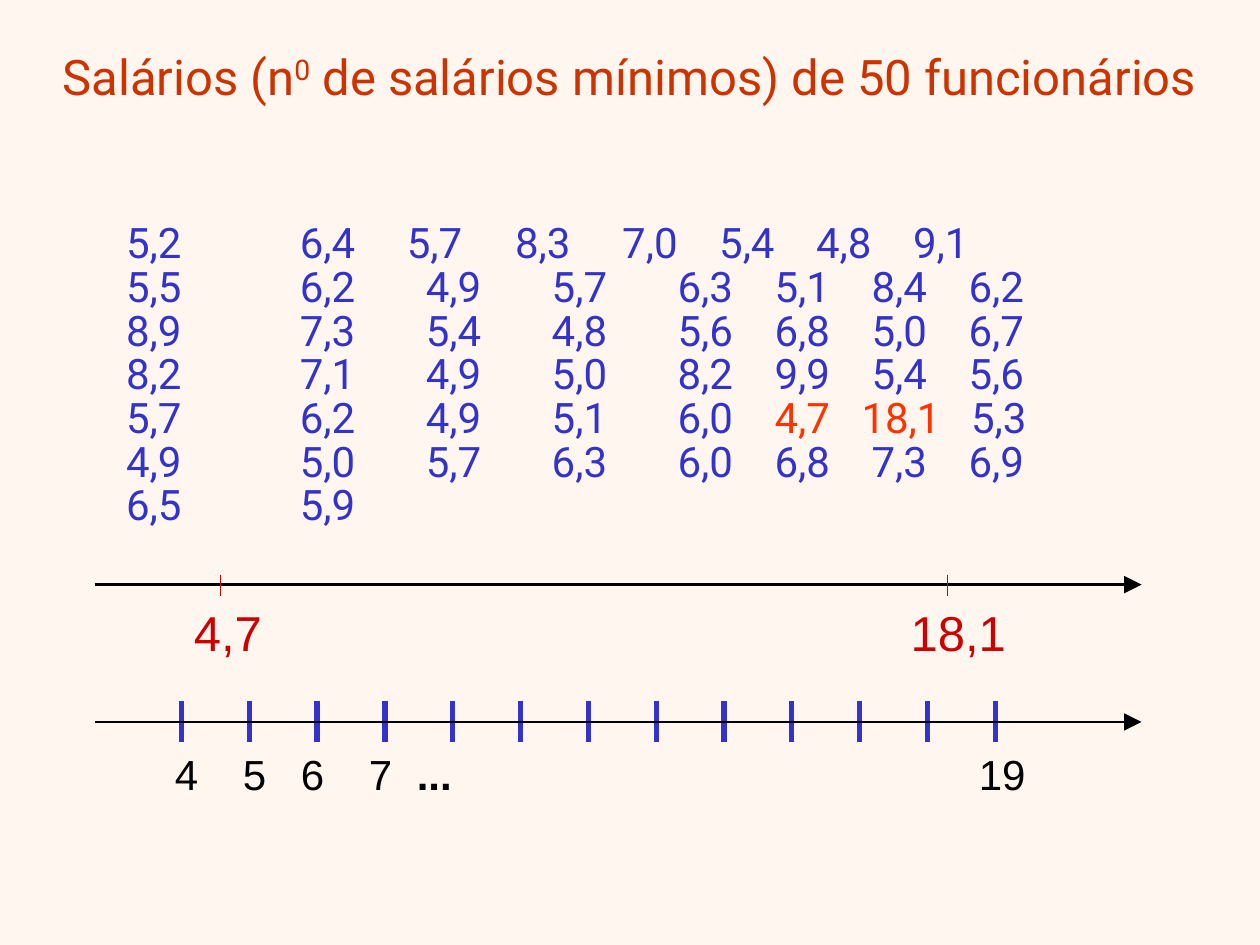
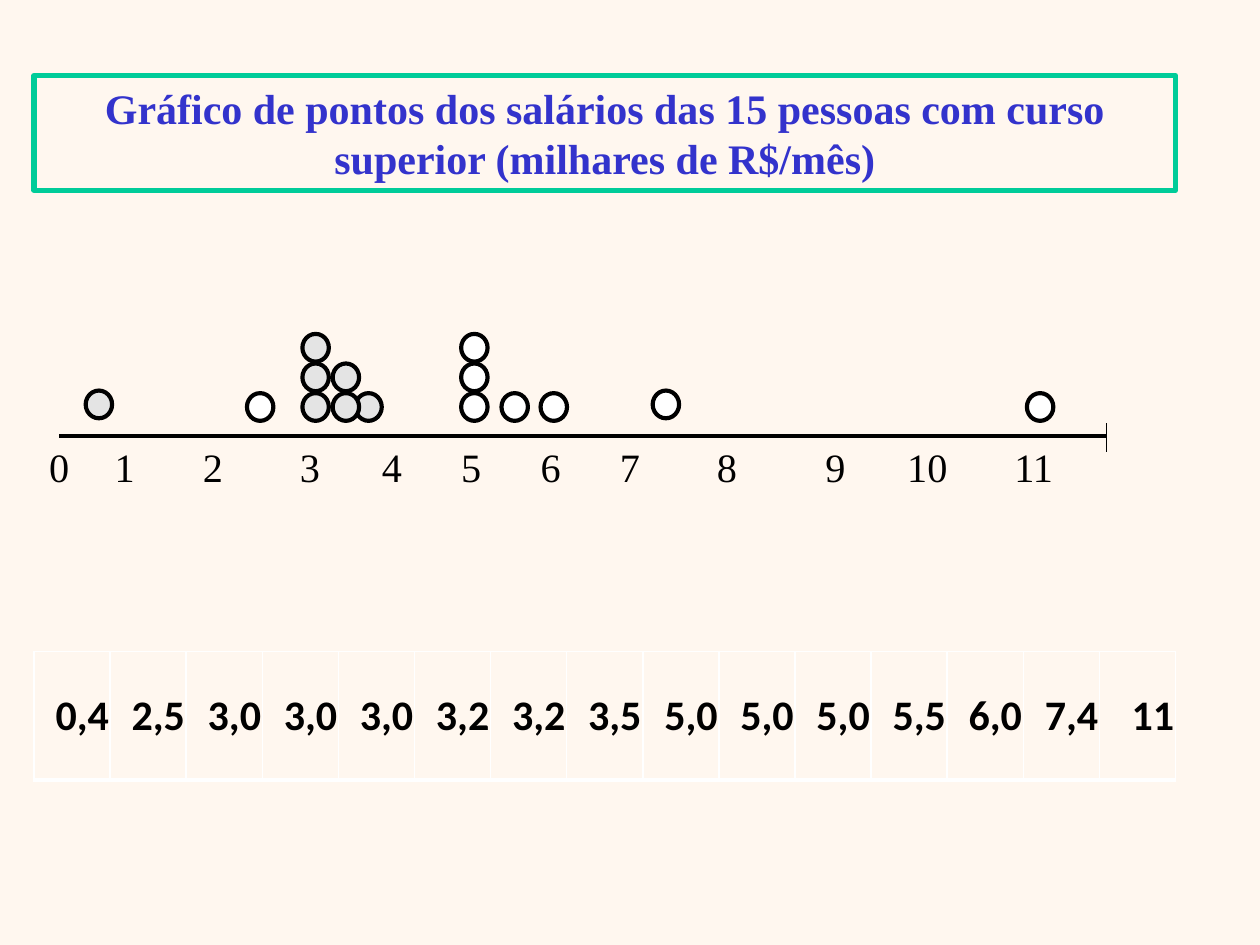
from lxml.etree import SubElement
from pptx import Presentation
from pptx.dml.color import RGBColor
from pptx.enum.shapes import MSO_CONNECTOR, MSO_SHAPE
from pptx.enum.text import MSO_ANCHOR, MSO_AUTO_SIZE, PP_ALIGN
from pptx.oxml.ns import qn
from pptx.util import Inches, Pt

COLORS = {
    "background": "FFF7EF", "title": "CC3300", "blue": "3333CC", "extreme": "FF3300",
    "red": "CC0000", "black": "000000", "white": "FFFFFF", "gray": "E4E4E4", "frame": "00CC99",
}

SALARY_TITLE = [("Salários (n", {}), ("0", {"baseline": 30}),
                (" de salários mínimos) de 50 funcionários", {})]
SALARIES = [
    ["5,2", "6,4", "5,7", "8,3", "7,0", "5,4", "4,8", "9,1"],
    ["5,5", "6,2", "4,9", "5,7", "6,3", "5,1", "8,4", "6,2"],
    ["8,9", "7,3", "5,4", "4,8", "5,6", "6,8", "5,0", "6,7"],
    ["8,2", "7,1", "4,9", "5,0", "8,2", "9,9", "5,4", "5,6"],
    ["5,7", "6,2", "4,9", "5,1", "6,0", "4,7", "18,1", "5,3"],
    ["4,9", "5,0", "5,7", "6,3", "6,0", "6,8", "7,3", "6,9"],
    ["6,5", "5,9"],
]
EXTREMES = ("4,7", "18,1")
SALARY_LEFTS = [0, 1.38, 2.38, 3.38, 4.38, 5.15, 5.92, 6.69]
SPECIAL_LEFTS = {0: [0, 1.38, 2.23, 3.09, 3.94, 4.71, 5.48, 6.25],
                 4: [0, 1.38, 2.38, 3.38, 4.38, 5.15, 5.84, 6.71]}
SALARY_SIZE = 24
GLYPH_EMS = {",": 0.2, " ": 0.25}
DIGIT_EM = 0.56
RANGE_LABELS = [("4,7", 1.44, 0.74), ("18,1", 7.13, 0.96)]
RANGE_TICKS = [1.75, 7.52]
CLASS_LABELS = [("4", 1.29, 0.39), ("5", 1.83, 0.39), ("6", 2.29, 0.39),
                ("7", 2.83, 0.39), ("...", 3.21, 0.48), ("19", 7.67, 0.57)]
CLASS_TICKS, FIRST_TICK, LAST_TICK = 13, 1.44, 7.9

DOT_TITLE = "Gráfico de pontos dos salários das 15 pessoas com curso superior (milhares de R$/mês)"
DOT_STACKS = [(2.82, 3.12, 1, "gray"), (1.96, 3.12, 1, "white"), (2.4, 3.12, 3, "gray"),
              (2.64, 3.12, 2, "gray"), (3.66, 3.12, 3, "white"), (3.98, 3.12, 1, "white"),
              (4.29, 3.12, 1, "white"), (5.18, 3.1, 1, "white"), (8.15, 3.12, 1, "white"),
              (0.68, 3.1, 1, "gray")]
DOT_STEP = 0.235
AXIS_LABEL_LEFTS = [0.39, 0.91, 1.61, 2.38, 3.03, 3.66, 4.29, 4.92, 5.69, 6.55, 7.2, 8.05]
DEGREE_SALARIES = ["0,4", "2,5", "3,0", "3,0", "3,0", "3,2", "3,2", "3,5",
                   "5,0", "5,0", "5,0", "5,5", "6,0", "7,4", "11"]


def rgb(name):
    return RGBColor.from_string(COLORS[name])


def add_text(p, text, size=24, font="Arial", color="black", bold=False, baseline=0, spacing=0):
    r = p.add_run()
    r.text = text
    r.font.size, r.font.name, r.font.bold = Pt(size), font, bold
    r.font.color.rgb = rgb(color)
    if baseline:
        r.font._element.set("baseline", str(baseline * 1000))
    if spacing:
        r.font._element.set("spc", str(round(spacing * 100)))


def place(sp, left, top, width, height):
    sp.left, sp.top, sp.width, sp.height = map(Inches, (left, top, width, height))
    tf = sp.text_frame
    tf.word_wrap, tf.auto_size = True, MSO_AUTO_SIZE.NONE
    return tf


def add_label(s, text, left, top, width, height, inset=None, **fmt):
    tf = s.shapes.add_textbox(*map(Inches, (left, top, width, height))).text_frame
    tf.word_wrap = False
    if inset is not None:
        tf.margin_left = tf.margin_right = tf.margin_top = tf.margin_bottom = inset
    add_text(tf.paragraphs[0], text, **fmt)


def add_line(s, x1, y1, x2, y2, color="black", width=1.5, arrow=False):
    line = s.shapes.add_connector(MSO_CONNECTOR.STRAIGHT, *map(Inches, (x1, y1, x2, y2)))
    line.line.color.rgb, line.line.width = rgb(color), Pt(width)
    if arrow:
        SubElement(line.line._get_or_add_ln(), qn("a:tailEnd"),
                   type="triangle", w="lg", len="lg")
    SubElement(line._element.spPr, qn("a:effectLst"))


def text_width(text):
    return SALARY_SIZE * sum(GLYPH_EMS.get(glyph, DIGIT_EM) for glyph in text)


def add_salary_row(p, values, lefts):
    p.alignment, p.line_spacing, p.space_before = PP_ALIGN.LEFT, 0.7, Pt(4.8)
    pPr = p._p.get_or_add_pPr()
    pPr.set("marL", "0")
    pPr.set("indent", "0")
    SubElement(pPr, qn("a:buNone"))
    for i, value in enumerate(values):
        if i:
            gap = (lefts[i] - lefts[i - 1]) * 72 - text_width(values[i - 1] + " ")
            add_text(p, " ", size=SALARY_SIZE, font="Roboto", color="blue", spacing=gap)
        color = "extreme" if value in EXTREMES else "blue"
        add_text(p, value, size=SALARY_SIZE, font="Roboto", color=color)


def build_salaries(prs):
    s = prs.slides.add_slide(prs.slide_layouts[1])
    tf = place(s.shapes.title, 0.3, 0.32, 9.39, 0.67)
    tf.vertical_anchor = MSO_ANCHOR.TOP
    tf.paragraphs[0].alignment = PP_ALIGN.CENTER
    for text, fmt in SALARY_TITLE:
        add_text(tf.paragraphs[0], text, size=28, font="Roboto", color="title", **fmt)

    tf = place(s.placeholders[1], 0.9, 1.78, 7.95, 2.52)
    tf.vertical_anchor = MSO_ANCHOR.TOP
    for i, values in enumerate(SALARIES):
        p = tf.add_paragraph() if i else tf.paragraphs[0]
        add_salary_row(p, values, SPECIAL_LEFTS.get(i, SALARY_LEFTS))

    for text, left, width in RANGE_LABELS:
        add_label(s, text, left, 4.73, width, 0.57, size=28, color="red")
    add_line(s, 0.75, 4.64, 9.06, 4.64, arrow=True)
    for x in RANGE_TICKS:
        add_line(s, x, 4.56, x, 4.73, color="red", width=1)

    for text, left, width in CLASS_LABELS:
        add_label(s, text, left, 5.89, width, 0.5, bold=text == "...")
    for i in range(CLASS_TICKS):
        x = FIRST_TICK + i * (LAST_TICK - FIRST_TICK) / (CLASS_TICKS - 1)
        add_line(s, x, 5.56, x, 5.89, color="blue", width=3)
    add_line(s, 0.75, 5.73, 9.06, 5.73, arrow=True)


def add_dot(s, left, top, fill):
    dot = s.shapes.add_shape(MSO_SHAPE.OVAL, *map(Inches, (left, top, 0.21, 0.22)))
    dot.shadow.inherit = False
    dot.fill.solid()
    dot.fill.fore_color.rgb = rgb(fill)
    dot.line.color.rgb, dot.line.width = rgb("black"), Pt(2.38)


def add_borders(cell):
    tcPr = cell._tc.get_or_add_tcPr()
    for side, width in (("L", 1), ("R", 1), ("T", 1), ("B", 3)):
        ln = SubElement(tcPr, qn(f"a:ln{side}"), w=str(Pt(width)))
        fill = SubElement(ln, qn("a:solidFill"))
        SubElement(fill, qn("a:srgbClr"), val=COLORS["white"])


def add_salary_table(s):
    frame = s.shapes.add_table(1, len(DEGREE_SALARIES),
                               *map(Inches, (0.27, 5.17, 9.06, 1.02)))
    table = frame.table
    table.first_row = table.horz_banding = False
    for cell, value in zip(table.iter_cells(), DEGREE_SALARIES):
        add_borders(cell)
        cell.fill.background()
        cell.vertical_anchor = MSO_ANCHOR.MIDDLE
        cell.margin_left = cell.margin_right = cell.margin_top = Inches(0.01)
        cell.margin_bottom = 0
        p = cell.text_frame.paragraphs[0]
        p.alignment = PP_ALIGN.RIGHT
        add_text(p, value, font="Calibri", bold=True)


def build_dot_plot(prs):
    s = prs.slides.add_slide(prs.slide_layouts[5])
    title = s.shapes.title
    tf = place(title, 0.27, 0.6, 9.06, 0.91)
    tf.vertical_anchor = MSO_ANCHOR.MIDDLE
    title.line.color.rgb, title.line.width = rgb("frame"), Pt(3)
    tf.paragraphs[0].alignment = PP_ALIGN.CENTER
    add_text(tf.paragraphs[0], DOT_TITLE, font="Times New Roman", color="blue", bold=True)

    add_line(s, 8.78, 3.36, 8.78, 3.59, width=0.75)
    add_line(s, 0.47, 3.46, 8.78, 3.46, width=2.38)
    for left, top, count, fill in DOT_STACKS:
        for level in range(count):
            add_dot(s, left, top - level * DOT_STEP, fill)
    for value, left in enumerate(AXIS_LABEL_LEFTS):
        text = str(value)
        add_label(s, text, left, 3.51, 0.18 * len(text), 0.39, inset=0,
                  size=23, font="Times New Roman")
    add_salary_table(s)


def main():
    prs = Presentation()
    prs.slide_width, prs.slide_height = Inches(10), Inches(7.5)
    fill = prs.slide_master.background.fill
    fill.solid()
    fill.fore_color.rgb = rgb("background")
    build_salaries(prs)
    build_dot_plot(prs)
    prs.save("out.pptx")


if __name__ == "__main__":
    main()
